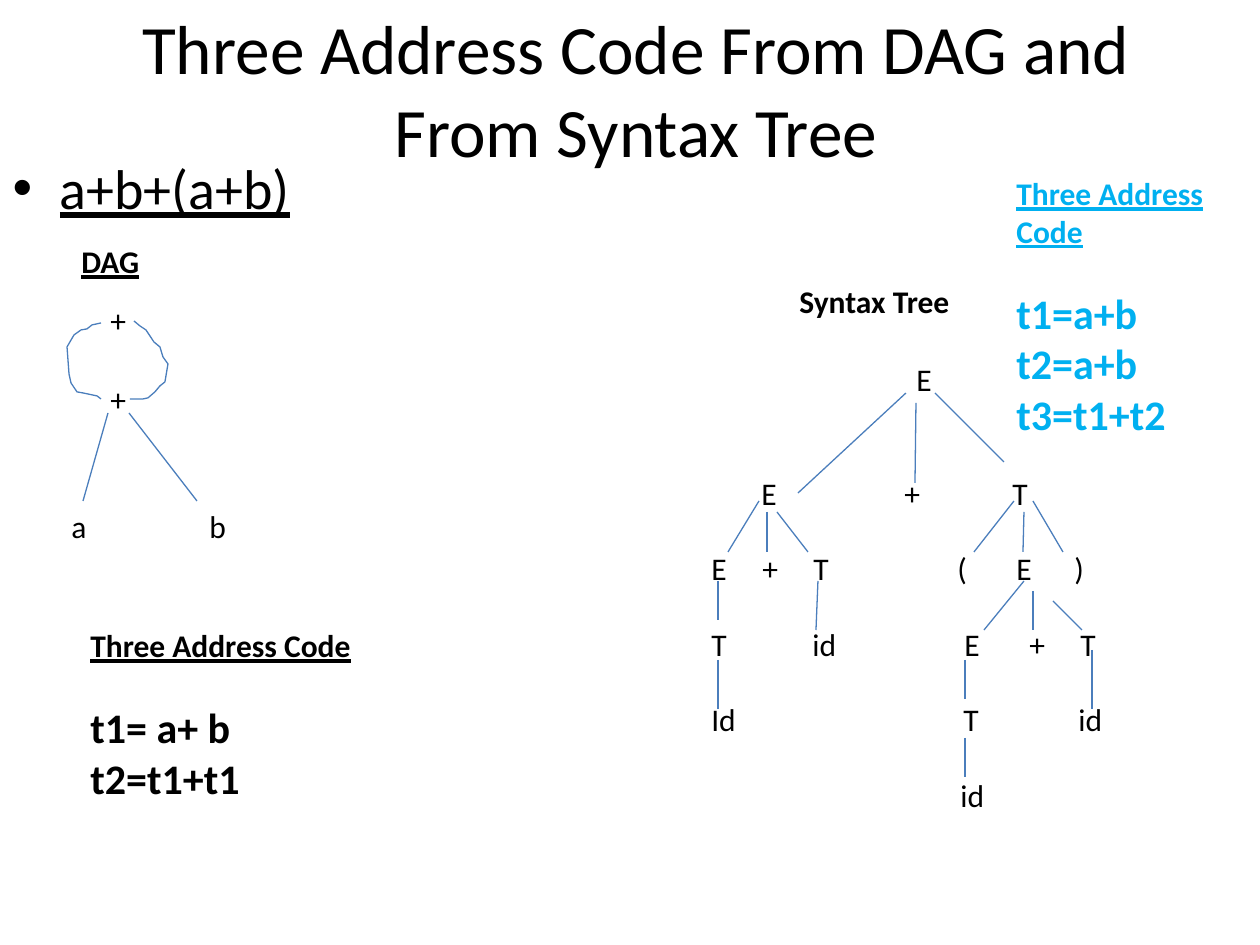
from lxml.etree import SubElement
from pptx import Presentation
from pptx.dml.color import RGBColor
from pptx.enum.shapes import MSO_CONNECTOR as Connector
from pptx.enum.text import MSO_ANCHOR as Anchor, MSO_AUTO_SIZE as AutoSize, PP_ALIGN as Align
from pptx.oxml.ns import qn
from pptx.util import Emu, Pt

PX_PER_INCH = 126
FONT = "Calibri"
COLORS = {"text": "000000", "accent": "00B0F0", "edge": "4B7EBC"}
LINE_GAP = Pt(21.6)  # one empty line of 18 pt text

# Rows of the syntax tree: empty lines above, then (offset, symbol) pairs
TREE_ROWS = [
    (0, [(205, "E")]),
    (2, [(50, "E"), (193, "+"), (301, "T")]),
    (1, [(0, "E"), (51, "+"), (102, "T"), (246, "("), (305, "E"), (363, ")")]),
    (1, [(0, "T"), (101, "id"), (253, "E"), (318, "+"), (369, "T")]),
    (1, [(0, "Id"), (252, "T"), (367, "id")]),
    (1, [(249, "id")]),
]
TREE_EDGES = [
    (906, 393, 798, 493), (935, 393, 1004, 462), (916, 403, 915, 483),
    (759, 501, 728, 552), (767, 512, 767, 552), (777, 512, 808, 552),
    (1014, 501, 974, 552), (1024, 512, 1023, 552), (1033, 501, 1063, 552),
    (718, 581, 718, 620), (818, 581, 816, 630), (718, 660, 718, 709),
    (1024, 581, 984, 630), (1033, 591, 1033, 630), (1053, 601, 1082, 630),
    (965, 660, 965, 699), (1092, 650, 1092, 709), (965, 738, 965, 777),
]
DAG_EDGES = [(108, 413, 83, 501), (129, 413, 197, 501)]
DAG_NODES = [("+", 98, 295), ("+", 98, 374), ("a", 59, 501), ("b", 197, 501)]
LEFT_LOOP = [(101, 323), (92, 325), (87, 329), (81, 330), (74, 335), (67, 347),
             (69, 374), (71, 383), (77, 392), (83, 393), (97, 396), (101, 399)]
RIGHT_LOOP = [(134, 321), (140, 326), (146, 330), (154, 342), (160, 347),
              (163, 357), (168, 364), (165, 382), (160, 386), (155, 392),
              (148, 398), (143, 399), (130, 399)]


def px(value):
    return Emu(round(value * 914400 / PX_PER_INCH))


def color(name):
    return RGBColor.from_string(COLORS[name])


def add_run(paragraph, words, size=18, ink="text", bold=False, underline=False):
    run = paragraph.add_run()
    run.text = words
    run.font.name = FONT
    run.font.size = Pt(size)
    run.font.bold = bold
    run.font.underline = underline
    run.font.color.rgb = color(ink)


def fill_placeholder(holder, box, words, size, underline=False):
    holder.left, holder.top, holder.width, holder.height = map(px, box)
    frame = holder.text_frame
    frame.auto_size = AutoSize.NONE
    paragraph = frame.paragraphs[0]
    paragraph.space_before = Pt(0)
    add_run(paragraph, words, size, underline=underline)
    return frame


def add_frame(slide, box):
    frame = slide.shapes.add_textbox(*map(px, box)).text_frame
    frame.word_wrap = True
    return frame


def add_label(slide, box, words, **style):
    frame = add_frame(slide, box)
    add_run(frame.paragraphs[0], words, **style)
    return frame


def add_code(slide, box, lines, ink):
    """An underlined heading with code lines one empty line below it."""
    frame = add_label(slide, box, "Three Address Code", ink=ink, bold=True, underline=True)
    for index, line in enumerate(lines):
        paragraph = frame.add_paragraph()
        if index == 0:
            paragraph.space_before = LINE_GAP
        add_run(paragraph, line, 24, ink, bold=True)


def add_tree_text(slide, box):
    """Each row sets its symbols on its own tab stops."""
    frame = add_frame(slide, box)
    for index, (gap, symbols) in enumerate(TREE_ROWS):
        paragraph = frame.add_paragraph() if index else frame.paragraphs[0]
        if gap:
            paragraph.space_before = gap * LINE_GAP
        tabs = SubElement(paragraph._p.get_or_add_pPr(), qn("a:tabLst"))
        for offset, symbol in symbols:
            if offset:
                SubElement(tabs, qn("a:tab"), pos=str(px(offset)), algn="l")
            add_run(paragraph, "\t" + symbol if offset else symbol)


def style_line(line):
    line.color.rgb = color("edge")
    line.width = Pt(0.75)


def add_edge(slide, ends):
    edge = slide.shapes.add_connector(Connector.STRAIGHT, *map(px, ends))
    style_line(edge.line)
    SubElement(edge._element.spPr, qn("a:effectLst"))


def add_loop(slide, points):
    start, *rest = [(px(x), px(y)) for x, y in points]
    builder = slide.shapes.build_freeform(*start)
    builder.add_line_segments(rest, close=False)
    loop = builder.convert_to_shape()
    loop.fill.background()
    loop.shadow.inherit = False
    style_line(loop.line)


def main():
    deck = Presentation()
    deck.slide_width, deck.slide_height = px(1260), px(945)
    slide = deck.slides.add_slide(deck.slide_layouts[1])
    title, expression = slide.placeholders

    # Title and expression
    heading = fill_placeholder(title, (69, 20, 1134, 137),
                               "Three Address Code From DAG and From Syntax Tree", 39.6)
    heading.vertical_anchor = Anchor.MIDDLE
    heading.paragraphs[0].alignment = Align.CENTER
    fill_placeholder(expression, (0, 147, 1260, 798), "a+b+(a+b)", 32, underline=True)

    # Syntax tree
    add_label(slide, (787, 276, 246, 50), "Syntax Tree", bold=True)
    add_tree_text(slide, (699, 354, 452, 471))
    for ends in TREE_EDGES + DAG_EDGES:
        add_edge(slide, ends)

    # DAG
    add_label(slide, (69, 236, 178, 50), "DAG", bold=True, underline=True)
    for symbol, left, top in DAG_NODES:
        add_label(slide, (left, top, 49, 50), symbol)
    for points in (LEFT_LOOP, RIGHT_LOOP):
        add_loop(slide, points)

    # Three address code of each form
    add_code(slide, (1004, 168, 256, 280), ["t1=a+b", "t2=a+b", "t3=t1+t2"], "accent")
    add_code(slide, (78, 620, 286, 229), ["t1= a+ b", "t2=t1+t1"], "text")

    deck.save("out.pptx")


if __name__ == "__main__":
    main()
